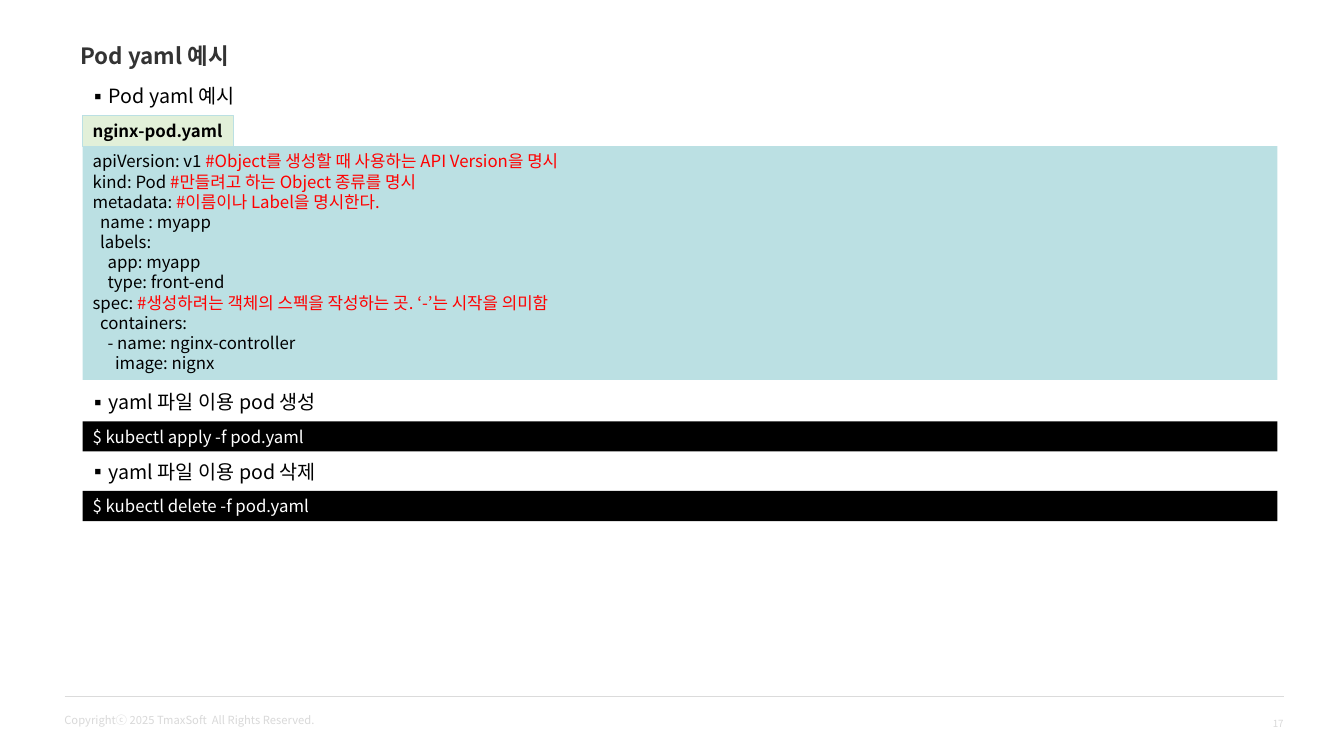
from lxml.etree import SubElement
from pptx import Presentation
from pptx.dml.color import RGBColor
from pptx.enum.shapes import MSO_CONNECTOR, MSO_SHAPE
from pptx.enum.text import MSO_ANCHOR, MSO_AUTO_SIZE, PP_ALIGN
from pptx.oxml.ns import qn
from pptx.util import Inches, Pt

FACE = "Noto Sans CJK KR"
BLACK = RGBColor(0x00, 0x00, 0x00)
WHITE = RGBColor(0xFF, 0xFF, 0xFF)
RED = RGBColor(0xFF, 0x00, 0x00)
DARK = RGBColor(0x33, 0x33, 0x33)
PALE = RGBColor(0xD9, 0xD9, 0xD9)
RULE = RGBColor(0xDB, 0xDB, 0xDB)
TEAL = RGBColor(0xBB, 0xE0, 0xE3)
GREEN = RGBColor(0xE2, 0xF0, 0xD9)

LEFT, WIDTH, BAR = 0.82, 11.85, 0.3
LISTS = [
    (0.78, "Pod yaml 예시"),
    (3.82, "yaml 파일 이용 pod 생성"),
    (4.51, "yaml 파일 이용 pod 삭제"),
]
SHELL = [
    (4.18, "$ kubectl apply -f pod.yaml"),
    (4.87, "$ kubectl delete -f pod.yaml"),
]
CODE = [
    ("apiVersion: v1 ", "#Object를 생성할 때 사용하는 API Version을 명시"),
    ("kind: Pod ", "#만들려고 하는 Object 종류를 명시"),
    ("metadata: ", "#이름이나 Label을 명시한다."),
    ("  name : myapp",),
    ("  labels:",),
    ("    app: myapp",),
    ("    type: front-end",),
    ("spec: ", "#생성하려는 객체의 스펙을 작성하는 곳. ‘-’는 시작을 의미함"),
    ("  containers:",),
    ("    - name: nginx-controller",),
    ("      image: nignx",),
]


def assign(item, values):
    """Set each named value on the item."""
    for name, value in values.items():
        setattr(item, name, value)


def place(shape, left, top, width, height):
    """Move and size a shape in inches."""
    assign(shape, {"left": Inches(left), "top": Inches(top),
                   "width": Inches(width), "height": Inches(height)})


def add_run(para, text, size, color, bold=False):
    """Append one formatted run."""
    run = para.add_run()
    run.text = text
    assign(run.font, {"name": FACE, "size": Pt(size), "bold": bold})
    run.font.color.rgb = color
    SubElement(run.font._element, qn("a:ea"), typeface=FACE)


def set_up(shape, anchor=MSO_ANCHOR.TOP, align=PP_ALIGN.LEFT):
    """Prepare a text frame and return its first paragraph."""
    frame = shape.text_frame
    assign(frame, {"word_wrap": True, "auto_size": MSO_AUTO_SIZE.NONE,
                   "vertical_anchor": anchor})
    para = frame.paragraphs[0]
    assign(para, {"alignment": align, "space_before": Pt(0)})
    return para


def add_point(holder, top, text):
    """Fill a body placeholder with one bullet."""
    place(holder, 0.78, top, 11.94, 0.34)
    para = set_up(holder)
    props = para._p.get_or_add_pPr()
    indent = Inches(0.2)
    props.set("marL", str(indent))
    props.set("indent", str(-indent))
    SubElement(props, qn("a:buFont"), typeface=FACE)
    SubElement(props, qn("a:buChar"), char="▪")
    add_run(para, text, 14, BLACK)


def add_panel(shapes, top, width, height, fill, edge=None):
    """Add a filled box at the left margin."""
    panel = shapes.add_shape(MSO_SHAPE.RECTANGLE, Inches(LEFT), Inches(top),
                             Inches(width), Inches(height))
    panel.shadow.inherit = False
    panel.fill.solid()
    panel.fill.fore_color.rgb = fill
    if edge is None:
        panel.line.fill.background()
    else:
        panel.line.color.rgb = edge
        panel.line.width = Pt(0.75)
    return panel


def add_code(slide):
    """Add the code listing with its file name tab."""
    group = slide.shapes.add_group_shape()
    panel = add_panel(group.shapes, 1.45, WIDTH, 2.32, TEAL)
    para = set_up(panel)
    for row, parts in enumerate(CODE):
        if row:
            para = panel.text_frame.add_paragraph()
            para.alignment = PP_ALIGN.LEFT
        for part, color in zip(parts, (BLACK, RED)):
            add_run(para, part, 12, color)
    tab = add_panel(group.shapes, 1.15, 1.5, BAR, GREEN, TEAL)
    add_run(set_up(tab), "nginx-pod.yaml", 12, BLACK, True)


def add_label(slide, box, text, size, **layout):
    """Add a pale text box."""
    label = slide.shapes.add_textbox(*map(Inches, box))
    add_run(set_up(label, **layout), text, size, PALE)


def add_foot(slide):
    """Add the rule, copyright line and page number."""
    line = slide.shapes.add_connector(MSO_CONNECTOR.STRAIGHT, Inches(0.64),
                                      Inches(6.91), Inches(12.73), Inches(6.91))
    line.line.color.rgb = RULE
    line.line.width = Pt(0.5)
    SubElement(line._element.spPr, qn("a:effectLst"))
    add_label(slide, (0.54, 7.03, 4, 0.24),
              "Copyrightⓒ 2025 TmaxSoft  All Rights Reserved.", 8)
    add_label(slide, (11.78, 6.85, 1.05, 0.65), "17", 7,
              anchor=MSO_ANCHOR.MIDDLE, align=PP_ALIGN.RIGHT)


def main():
    """Build and save the slide."""
    deck = Presentation()
    assign(deck, {"slide_width": Inches(13.33), "slide_height": Inches(7.5)})
    slide = deck.slides.add_slide(deck.slide_layouts[4])
    title, *bodies, spare = slide.placeholders
    spare._element.getparent().remove(spare._element)
    place(title, 0.7, 0.37, 2.78, 0.37)
    add_run(set_up(title), "Pod yaml 예시", 16, DARK, True)
    for holder, (top, text) in zip(bodies, LISTS):
        add_point(holder, top, text)
    for top, text in SHELL:
        panel = add_panel(slide.shapes, top, WIDTH, BAR, BLACK)
        add_run(set_up(panel), text, 12, WHITE)
    add_code(slide)
    add_foot(slide)
    deck.save("out.pptx")


if __name__ == "__main__":
    main()
